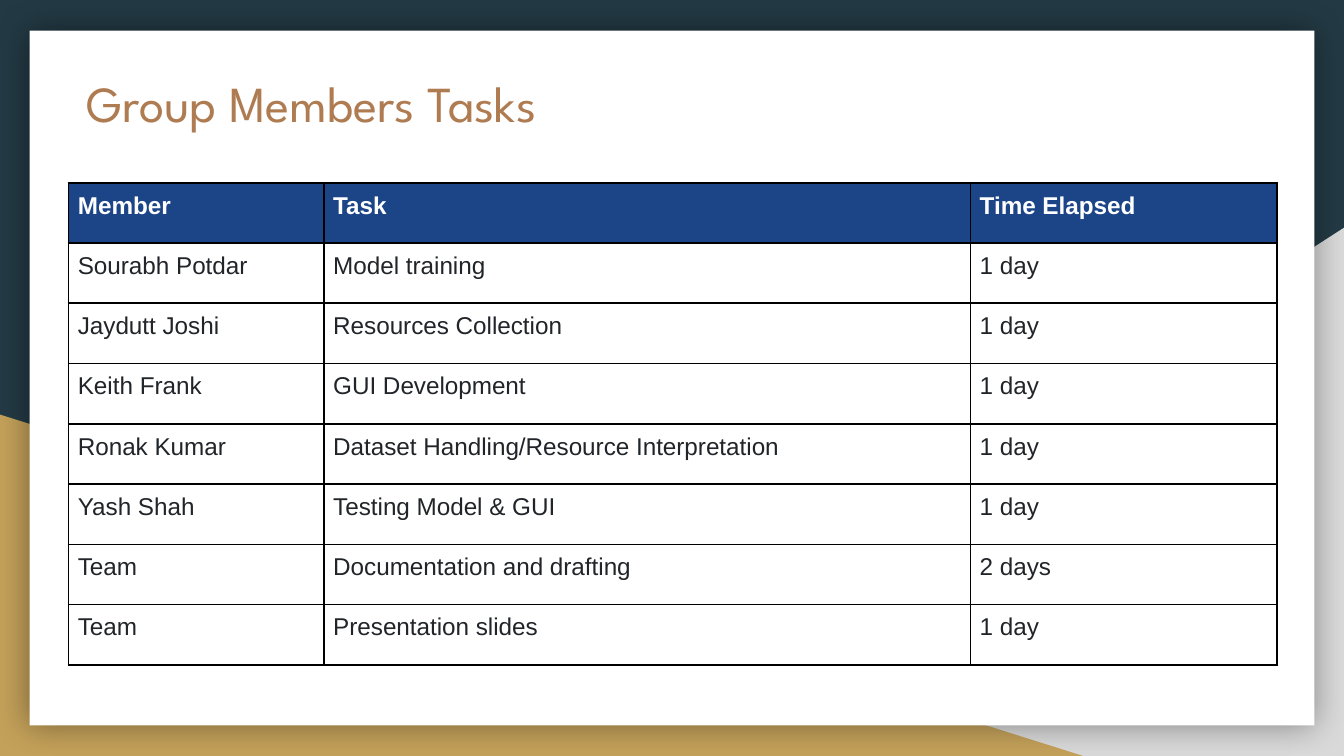
from lxml import etree
from pptx import Presentation
from pptx.dml.color import RGBColor
from pptx.enum.shapes import MSO_SHAPE
from pptx.enum.text import MSO_ANCHOR, PP_ALIGN
from pptx.oxml import parse_xml
from pptx.oxml.ns import qn
from pptx.util import Inches, Pt

TRI, RECT = MSO_SHAPE.RIGHT_TRIANGLE, MSO_SHAPE.RECTANGLE
MIDDLE, LEFT, JUSTIFY = MSO_ANCHOR.MIDDLE, PP_ALIGN.LEFT, PP_ALIGN.JUSTIFY
NAVY = RGBColor(0x23, 0x3A, 0x44)
GREY = RGBColor(0xD9, 0xD9, 0xD9)
GOLD = RGBColor(0xC4, 0xA1, 0x5A)
WHITE = RGBColor(0xFF, 0xFF, 0xFF)
BROWN = RGBColor(0xAF, 0x7B, 0x51)
BLUE = RGBColor(0x1C, 0x45, 0x87)
INK = RGBColor(0x21, 0x25, 0x29)
BLACK = RGBColor(0, 0, 0)
WIDE = 10
HIGH = WIDE * 9 / 16
COLS, TALL = (1.9, 4.81, 2.28), 3.59
NS = "http://schemas.openxmlformats.org/drawingml/2006/main"
TASKS = [
    ("Member", "Task", "Time Elapsed"),
    ("Sourabh Potdar", "Model training", "1 day"),
    ("Jaydutt Joshi", "Resources Collection", "1 day"),
    ("Keith Frank", "GUI Development", "1 day"),
    ("Ronak Kumar", "Dataset Handling/Resource Interpretation", "1 day"),
    ("Yash Shah", "Testing Model & GUI", "1 day"),
    ("Team", "Documentation and drafting", "2 days"),
    ("Team", "Presentation slides", "1 day"),
]


def add_run(para, text, font, size, color, bold=False):
    """Add one styled run to a paragraph."""
    run = para.add_run()
    run.text = text
    run.font.name, run.font.size, run.font.bold = font, Pt(size), bold
    run.font.color.rgb = color


def add_block(slide, kind, box, color):
    """Add a plain filled shape without an outline."""
    shape = slide.shapes.add_shape(kind, *map(Inches, box))
    shape.shadow.inherit = False
    shape.fill.solid()
    shape.fill.fore_color.rgb = color
    shape.line.fill.background()
    return shape


def add_glow(shape):
    """Give a shape a soft, centred black shadow."""
    effects = shape._element.spPr.find(qn("a:effectLst"))
    effects.append(parse_xml(
        f'<a:outerShdw xmlns:a="{NS}" blurRad="{Pt(18)}" dist="0" dir="0" '
        f'algn="ctr" rotWithShape="0"><a:srgbClr val="{BLACK}">'
        '<a:alpha val="40000"/></a:srgbClr></a:outerShdw>'))


def add_back(slide):
    """Draw the coloured corners and the white panel."""
    slide.background.fill.solid()
    slide.background.fill.fore_color.rgb = NAVY
    wide, high = 6.08, 3.93
    corner = add_block(slide, TRI, (WIDE - wide, HIGH - high, wide, high), GREY)
    corner._element.spPr.xfrm.set("flipH", "1")
    wide, high = 8.06, 2.54
    add_block(slide, TRI, (0, HIGH - high, wide, high), GOLD)
    wide, high = 9.56, 5.17
    panel = ((WIDE - wide) / 2, (HIGH - high) / 2, wide, high)
    add_glow(add_block(slide, RECT, panel, WHITE))


def set_title(slide, text):
    """Place the title in front of the panel and fill it."""
    title = slide.shapes.title
    slide.shapes._spTree.append(title._element)
    title.left, title.top, title.width, title.height = map(
        Inches, (0.54, 0.44, 8.91, 0.65))
    frame = title.text_frame
    frame.margin_left = frame.margin_right = Inches(0.1)
    frame.margin_top = frame.margin_bottom = Inches(0.1)
    frame.vertical_anchor, frame.word_wrap = MIDDLE, True
    para = frame.paragraphs[0]
    para.alignment = LEFT
    add_run(para, text, "League Spartan", 27, BROWN)


def set_edges(cell):
    """Draw a thin black line on all four sides of a cell."""
    props = cell._tc.get_or_add_tcPr()
    for spot, side in enumerate("LRTB"):
        line = etree.Element(qn(f"a:ln{side}"), w=str(Pt(1)))
        fill = etree.SubElement(line, qn("a:solidFill"))
        etree.SubElement(fill, qn("a:srgbClr"), val=str(BLACK))
        props.insert(spot, line)


def fill_cell(cell, text, head):
    """Write and style one cell."""
    cell.margin_left = cell.margin_right = Inches(0.07)
    cell.margin_top = cell.margin_bottom = Inches(0.07)
    if head:
        cell.fill.solid()
        cell.fill.fore_color.rgb = BLUE
    else:
        cell.fill.background()
    para = cell.text_frame.paragraphs[0]
    para.alignment = JUSTIFY
    add_run(para, text, "Arial", 13, WHITE if head else INK, head)
    set_edges(cell)


def add_grid(slide, rows):
    """Add the task table."""
    box = (0.51, 1.36, sum(COLS), TALL)
    table = slide.shapes.add_table(
        len(rows), len(COLS), *map(Inches, box)).table
    for col, wide in zip(table.columns, COLS):
        col.width = Inches(wide)
    for r, row in enumerate(rows):
        table.rows[r].height = Inches(TALL / len(rows))
        for c, text in enumerate(row):
            fill_cell(table.cell(r, c), text, r == 0)


def main():
    """Build and save the slide."""
    deck = Presentation()
    deck.slide_width, deck.slide_height = Inches(WIDE), Inches(HIGH)
    slide = deck.slides.add_slide(deck.slide_layouts[5])
    add_back(slide)
    set_title(slide, "Group Members Tasks")
    add_grid(slide, TASKS)
    deck.save("out.pptx")


if __name__ == "__main__":
    main()
